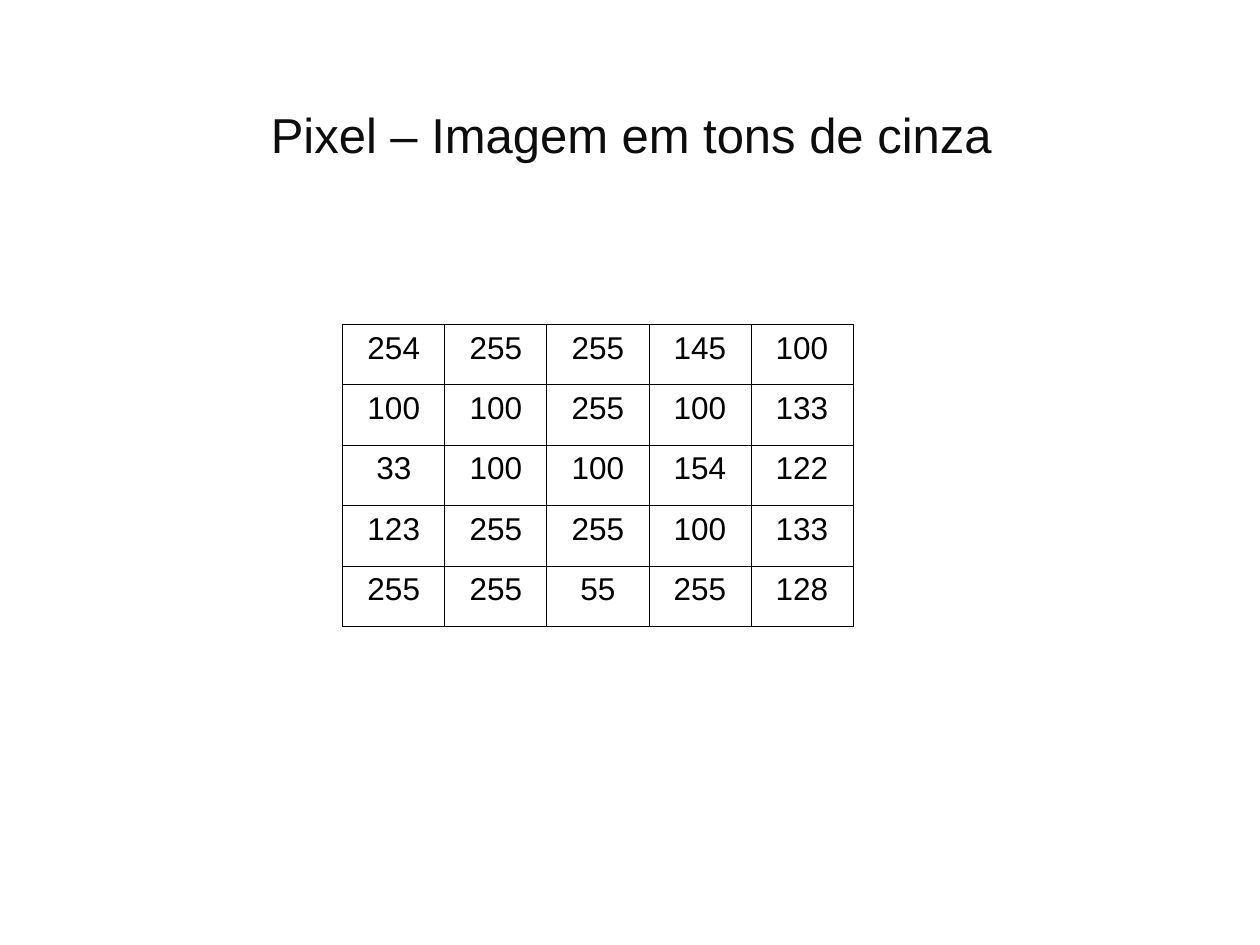
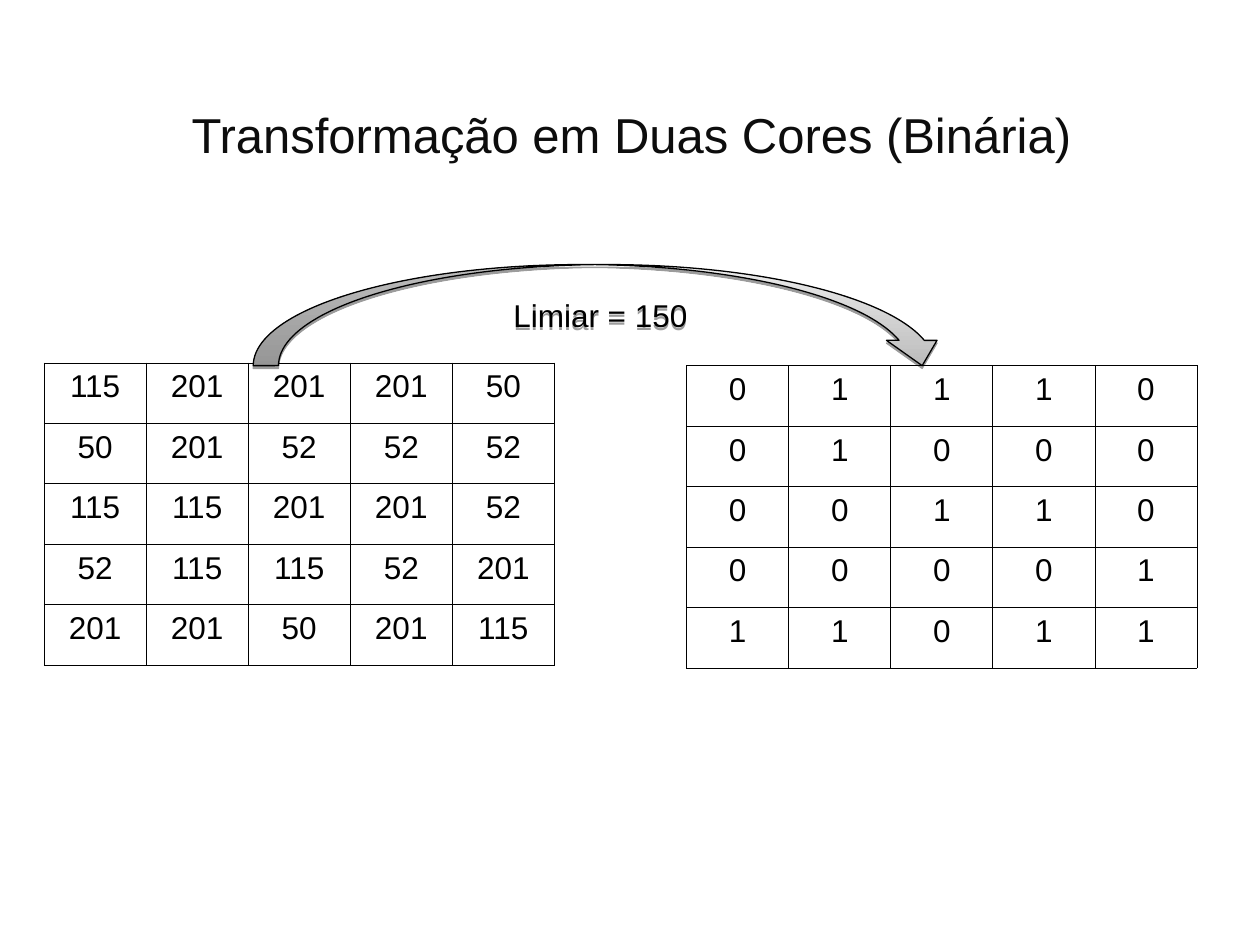
from lxml import etree
from pptx import Presentation, util as u
from pptx.dml.color import RGBColor
from pptx.enum import shapes, text
from pptx.oxml import ns

WIDTH, HEIGHT = u.Inches(10), u.Inches(7.5)
FONT = "Arial"
COLORS = {
    "title": "0D0D0D",
    "ink": "000000",
    "arrow_base": "BCBCBC",
    "arrow_top": "EDEDED",
}
CELL_WIDTH, CELL_HEIGHT = u.Inches(0.81), u.Inches(0.48)
BORDER_WIDTH = u.Pt(0.45)

GRAY_LEVELS = [
    [254, 255, 255, 145, 100],
    [100, 100, 255, 100, 133],
    [33, 100, 100, 154, 122],
    [123, 255, 255, 100, 133],
    [255, 255, 55, 255, 128],
]
BEFORE_THRESHOLD = [
    [115, 201, 201, 201, 50],
    [50, 201, 52, 52, 52],
    [115, 115, 201, 201, 52],
    [52, 115, 115, 52, 201],
    [201, 201, 50, 201, 115],
]
AFTER_THRESHOLD = [
    [0, 1, 1, 1, 0],
    [0, 1, 0, 0, 0],
    [0, 0, 1, 1, 0],
    [0, 0, 0, 0, 1],
    [1, 1, 0, 1, 1],
]


def rgb(name):
    return RGBColor.from_string(COLORS[name])


def share(x, y):
    """Turn shares of the slide's width and height into lengths."""
    return int(WIDTH * x), int(HEIGHT * y)


def write_centered(text_frame, content, size, color):
    paragraph = text_frame.paragraphs[0]
    paragraph.alignment = text.PP_ALIGN.CENTER
    run = paragraph.add_run()
    run.text = content
    run.font.name = FONT
    run.font.size = u.Pt(size)
    run.font.color.rgb = rgb(color)


def add_titled_slide(presentation, title_text):
    slide = presentation.slides.add_slide(presentation.slide_layouts[5])
    title = slide.shapes.title
    title.left, title.top = share(0.051, 0.084)
    title.width, title.height = share(0.9, 0.115)
    title.text_frame.vertical_anchor = text.MSO_ANCHOR.MIDDLE
    write_centered(title.text_frame, title_text, 28, "title")
    return slide


def draw_borders(cell):
    properties = cell._tc.get_or_add_tcPr()
    for position, side in enumerate(("lnL", "lnR", "lnT", "lnB")):
        line = etree.Element(ns.qn(f"a:{side}"), w=str(BORDER_WIDTH))
        fill = etree.SubElement(line, ns.qn("a:solidFill"))
        etree.SubElement(fill, ns.qn("a:srgbClr"), val=COLORS["ink"])
        properties.insert(position, line)


def add_pixel_grid(slide, x, y, values):
    rows, columns = len(values), len(values[0])
    table = slide.shapes.add_table(
        rows, columns, *share(x, y), CELL_WIDTH * columns, CELL_HEIGHT * rows
    ).table
    table.first_row = table.horz_banding = False
    for row, row_values in enumerate(values):
        for column, value in enumerate(row_values):
            cell = table.cell(row, column)
            cell.fill.background()
            draw_borders(cell)
            write_centered(cell.text_frame, str(value), 18, "ink")


def add_drop_shadow(shape, distance, opacity):
    """Cast a sharp shadow straight down; opacity is in percent."""
    shape.shadow.inherit = False
    effects = shape._element.spPr.find(ns.qn("a:effectLst"))
    shadow = etree.SubElement(
        effects, ns.qn("a:outerShdw"),
        dist=str(u.Pt(distance)), dir="5400000", rotWithShape="0",
    )
    color = etree.SubElement(shadow, ns.qn("a:srgbClr"), val=COLORS["ink"])
    etree.SubElement(color, ns.qn("a:alpha"), val=str(opacity * 1000))


def add_threshold_arrow(slide, x, y, width, height, label):
    arrow = slide.shapes.add_shape(
        shapes.MSO_SHAPE.CURVED_DOWN_ARROW, *share(x, y), *share(width, height)
    )
    arrow.fill.gradient()
    arrow.fill.gradient_angle = 90
    for stop, color in zip(arrow.fill.gradient_stops, ("arrow_base", "arrow_top")):
        stop.color.rgb = rgb(color)
    arrow.line.color.rgb = rgb("ink")
    arrow.line.width = u.Pt(0.75)
    add_drop_shadow(arrow, distance=1.6, opacity=38)
    arrow.text_frame.vertical_anchor = text.MSO_ANCHOR.MIDDLE
    write_centered(arrow.text_frame, label, 18, "ink")


def main():
    presentation = Presentation()
    presentation.slide_width, presentation.slide_height = WIDTH, HEIGHT

    slide = add_titled_slide(presentation, "Pixel – Imagem em tons de cinza")
    add_pixel_grid(slide, 0.272, 0.343, GRAY_LEVELS)

    slide = add_titled_slide(presentation, "Transformação em Duas Cores (Binária)")
    add_pixel_grid(slide, 0.035, 0.384, BEFORE_THRESHOLD)
    add_pixel_grid(slide, 0.545, 0.387, AFTER_THRESHOLD)
    add_threshold_arrow(slide, 0.201, 0.28, 0.551, 0.107, "Limiar = 150")

    presentation.save("out.pptx")


if __name__ == "__main__":
    main()
